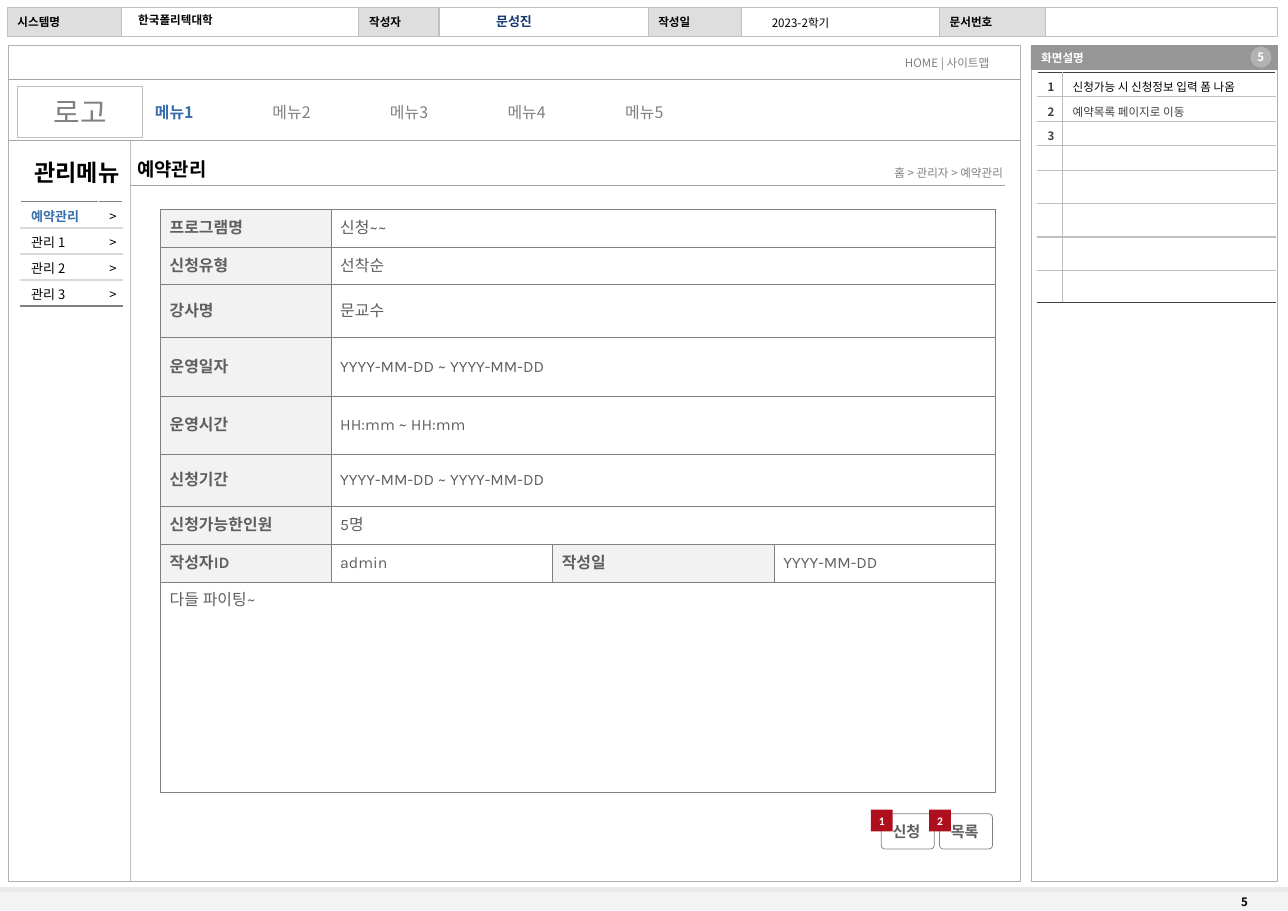
from lxml.etree import SubElement
from pptx import Presentation
from pptx.dml.color import RGBColor
from pptx.enum.shapes import MSO_CONNECTOR, MSO_SHAPE as SHAPE
from pptx.enum.text import MSO_ANCHOR as ANCHOR, MSO_AUTO_SIZE, PP_ALIGN as ALIGN
from pptx.oxml.ns import qn
from pptx.util import Inches, Pt

SANS = "Noto Sans CJK KR"
color = RGBColor.from_string


def write(text_frame, text, size, text_color, bold=False, align=ALIGN.LEFT, font=SANS):
    paragraph = text_frame.paragraphs[0]
    paragraph.alignment = align
    if text:
        paragraph.add_run().text = text
    else:
        SubElement(paragraph._p, qn("a:endParaRPr"), sz=str(size * 100))
    paragraph.font.size = Pt(size)
    paragraph.font.bold = bold
    paragraph.font.color.rgb = color(text_color)
    paragraph.font.name = font
    SubElement(paragraph._p.pPr.find(qn("a:defRPr")), qn("a:ea"), typeface=font)
    return paragraph


def draw_borders(cell, width, **sides):
    properties = cell._tc.get_or_add_tcPr()
    for side in "LRTB":
        if side in sides:
            line = SubElement(properties, qn(f"a:ln{side}"), w=str(Pt(width)))
            fill = SubElement(line, qn("a:solidFill"))
            SubElement(fill, qn("a:srgbClr"), val=sides[side])


presentation = Presentation()
presentation.slide_width = Inches(12.38)
presentation.slide_height = Inches(8.755)
slide = presentation.slides.add_slide(presentation.slide_layouts[5])
shapes = slide.shapes

title = shapes.title
title.left, title.top = Inches(1.22), Inches(1.47)
title.width, title.height = Inches(0.93), Inches(0.32)
title.text_frame.word_wrap = False
title.text_frame.auto_size = MSO_AUTO_SIZE.NONE
title.text_frame.vertical_anchor = ANCHOR.TOP
write(title.text_frame, "예약관리", 13, "000000", True)

panels = [
    (0, 8.55, 12.38, 0.2, "F3F3F3", None, 0),
    (0.08, 0.44, 9.73, 8.03, None, "B2B2B2", 0.75),
    (9.91, 0.67, 2.37, 7.8, None, "B2B2B2", 0.5),
    (0.07, 0.07, 12.21, 0.28, "FFFFFF", "C0C0C0", 0.75),
]
labels = [
    (left, 0.07, width, 0.28, "DEDEDE", "C0C0C0", 0.75, text, 8, "000000", True)
    for left, width, text in [
        (0.07, 1.1, "시스템명"), (3.45, 0.77, "작성자"),
        (6.23, 0.9, "작성일"), (9.03, 1.02, "문서번호"),
    ]
]
labels += [
    (9.91, 0.44, 2.37, 0.23, "969696", "969696", 0.5, "화면설명", 8, "FFFFFF", True),
    (12.02, 0.45, 0.2, 0.2, "B2B2B2", None, 0, "5", 8, "FFFFFF", True, ALIGN.CENTER, SANS, SHAPE.OVAL),
    (0.17, 0.83, 1.2, 0.49, "FFFFFF", "BFBFBF", 0.25, "로고", 20, "808080", False, ALIGN.CENTER),
]
buttons = []
for number, (left, text) in enumerate([(8.47, "신청"), (9.03, "목록")], 1):
    buttons.append((left, 7.82, 0.51, 0.34, "FFFFFF", "808080", 0.5, text, 10.5, "5F5F5F",
                    True, ALIGN.LEFT, "Karla", SHAPE.ROUNDED_RECTANGLE))
    buttons.append((left - 0.1, 7.78, 0.21, 0.21, "AF0F1D", None, 0, str(number), 8, "FFFFFF",
                    True, ALIGN.CENTER, "Calibri"))

for left, top, width, height, fill, outline, weight, *content in panels + labels + buttons:
    kind = content.pop() if len(content) == 7 else SHAPE.RECTANGLE
    shape = shapes.add_shape(kind, Inches(left), Inches(top), Inches(width), Inches(height))
    shape.shadow.inherit = False
    if kind == SHAPE.ROUNDED_RECTANGLE:
        shape.adjustments[0] = 0.11
    if fill:
        shape.fill.solid()
        shape.fill.fore_color.rgb = color(fill)
    else:
        shape.fill.background()
    if outline:
        shape.line.color.rgb = color(outline)
        shape.line.width = Pt(weight)
    else:
        shape.line.fill.background()
    if content:
        frame = shape.text_frame
        frame.word_wrap = False
        frame.vertical_anchor = ANCHOR.MIDDLE
        if "Calibri" in content:
            frame.margin_left = frame.margin_right = frame.margin_top = frame.margin_bottom = 0
        write(frame, *content)

for x1, y1, x2, y2, line_color, weight in [
    (0, 8.55, 12.38, 8.55, "EAEAEA", 3),
    (1.25, 1.35, 1.25, 8.47, "BFBFBF", 0.25),
    (1.25, 1.78, 9.66, 1.78, "A6A6A6", 0.75),
    (0.08, 1.35, 9.81, 1.35, "A6A6A6", 0.75),
    (0.08, 0.76, 9.81, 0.76, "A6A6A6", 0.75),
]:
    connector = shapes.add_connector(MSO_CONNECTOR.STRAIGHT, Inches(x1), Inches(y1), Inches(x2), Inches(y2))
    connector.line.color.rgb = color(line_color)
    connector.line.width = Pt(weight)
    SubElement(connector._element.spPr, qn("a:effectLst"))

for left, top, width, height, wrap, *content in [
    (11.83, 8.55, 0.55, 0.24, True, "5", 8, "000000", True),
    (4.23, 0.08, 1.42, 0.25, True, "문성진", 9, "163873", True, ALIGN.CENTER),
    (1.23, 0.08, 2.22, 0.24, True, "한국폴리텍대학", 8, "000000", True),
    (7.3, 0.1, 0.79, 0.24, False, "2023-2학기", 8, "000000", False, ALIGN.CENTER),
    (0.08, 1.47, 1.32, 0.37, True, "관리메뉴", 16, "000000", True, ALIGN.CENTER),
    (8.32, 1.55, 1.42, 0.24, False, "홈 > 관리자 > 예약관리", 8, "808080", False, ALIGN.RIGHT),
    (8.6, 0.49, 1.06, 0.24, False, "HOME | 사이트맵", 8, "808080"),
]:
    box = shapes.add_textbox(Inches(left), Inches(top), Inches(width), Inches(height))
    box.text_frame.word_wrap = wrap
    write(box.text_frame, *content)

menu = shapes.add_textbox(Inches(1.39), Inches(0.94), Inches(6.52), Inches(0.29))
menu.text_frame.word_wrap = True
paragraph = write(menu.text_frame, "메뉴1", 11, "808080")
current = paragraph.runs[0]
current.font.bold = True
current.font.color.rgb = color("376EAB")
paragraph.add_run().text = "\t메뉴2\t메뉴3\t메뉴4\t메뉴5"
tabs = paragraph._p.pPr.makeelement(qn("a:tabLst"))
paragraph._p.pPr.insert(0, tabs)
for stop in range(1, 5):
    SubElement(tabs, qn("a:tab"), pos=str(Inches(1.13 * stop)), algn="l")

side_rows = [(text, ">") for text in ["예약관리", "관리 1", "관리 2", "관리 3"]]
form_rows = [
    ("프로그램명", "신청~~"), ("신청유형", "선착순"), ("강사명", "문교수"),
    ("운영일자", "YYYY-MM-DD ~ YYYY-MM-DD"), ("운영시간", "HH:mm ~ HH:mm"),
    ("신청기간", "YYYY-MM-DD ~ YYYY-MM-DD"), ("신청가능한인원", "5명"),
    ("작성자ID", "admin", "작성일", "YYYY-MM-DD"), ("다들 파이팅~",),
]
note_rows = [("1", "신청가능 시 신청정보 입력 폼 나옴"), ("2", "예약목록 페이지로 이동"), ("3", "")]
note_rows += [("", "")] * 5

tables = []
for left, top, widths, heights in [
    (0.2, 1.94, [0.75, 0.23], [0.25] * 4),
    (1.54, 2.01, [1.64, 2.13, 2.13, 2.13], [0.25, 0.25, 0.51, 0.56, 0.56, 0.5, 0.25, 0.25, 2.02]),
    (9.97, 0.7, [0.24, 2.05], [0.23, 0.24] * 2 + [0.32] * 3 + [0.31]),
]:
    table = shapes.add_table(len(heights), len(widths), Inches(left), Inches(top),
                             Inches(sum(widths)), Inches(sum(heights))).table
    table.first_row = table.horz_banding = False
    for column, width in zip(table.columns, widths):
        column.width = Inches(width)
    for row, height in zip(table.rows, heights):
        row.height = Inches(height)
    tables.append(table)
side_table, form_table, note_table = tables

for r, texts in enumerate(side_rows):
    for c, text in enumerate(texts):
        cell = side_table.cell(r, c)
        draw_borders(cell, 1, L="FFFFFF", R="FFFFFF", T="D9D9D9" if r else "808080",
                     B="808080" if r == 3 else "D9D9D9")
        cell.fill.background()
        cell.vertical_anchor = ANCHOR.MIDDLE
        cell.margin_top, cell.margin_bottom = Inches(0.03), Inches(0.01)
        cell.margin_left, cell.margin_right = (0, Inches(0.06)) if c else (Inches(0.1), 0)
        active = r == 0 and c == 0
        write(cell.text_frame, text, 9, "376EAB" if active else "000000", active,
              ALIGN.RIGHT if c else ALIGN.LEFT)

for r, texts in enumerate(form_rows):
    for c in range(4):
        cell = form_table.cell(r, c)
        draw_borders(cell, 0.5, L="808080", R="808080", T="808080", B="808080")
        cell.fill.background()
    if len(texts) < 4:
        form_table.cell(r, len(texts) - 1).merge(form_table.cell(r, 3))
    for c, text in enumerate(texts):
        cell = form_table.cell(r, c)
        heading = c % 2 == 0 and len(texts) > 1
        if heading:
            cell.fill.solid()
            cell.fill.fore_color.rgb = color("F2F2F2")
        cell.vertical_anchor = ANCHOR.MIDDLE if len(texts) > 1 else ANCHOR.TOP
        cell.margin_left = cell.margin_right = cell.margin_top = cell.margin_bottom = Inches(0.09)
        write(cell.text_frame, text, 11, "5F5F5F", heading, font="Karla")

for r, texts in enumerate(note_rows):
    for c, text in enumerate(texts):
        cell = note_table.cell(r, c)
        draw_borders(cell, 1, T="BFBFBF" if r else "404040", B="404040" if r == 7 else "BFBFBF",
                     **{"L" if c else "R": "BFBFBF"})
        cell.fill.solid()
        cell.fill.fore_color.rgb = color("FFFFFF")
        cell.vertical_anchor = ANCHOR.MIDDLE
        cell.margin_top, cell.margin_bottom = Inches(0.04), 0
        cell.margin_left, cell.margin_right = Inches(0.1), 0
        write(cell.text_frame, text, 8, "000000" if c and r == 0 else "404040", c == 0)

presentation.save("out.pptx")
